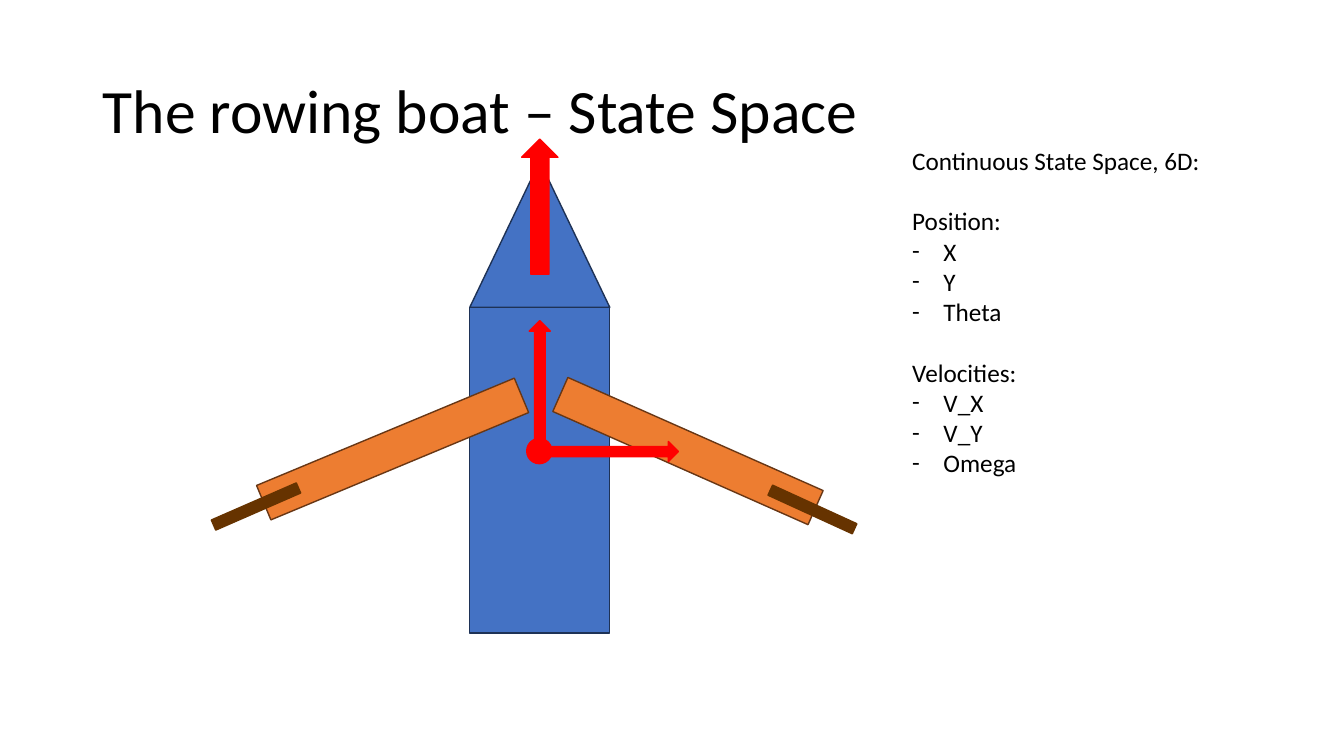
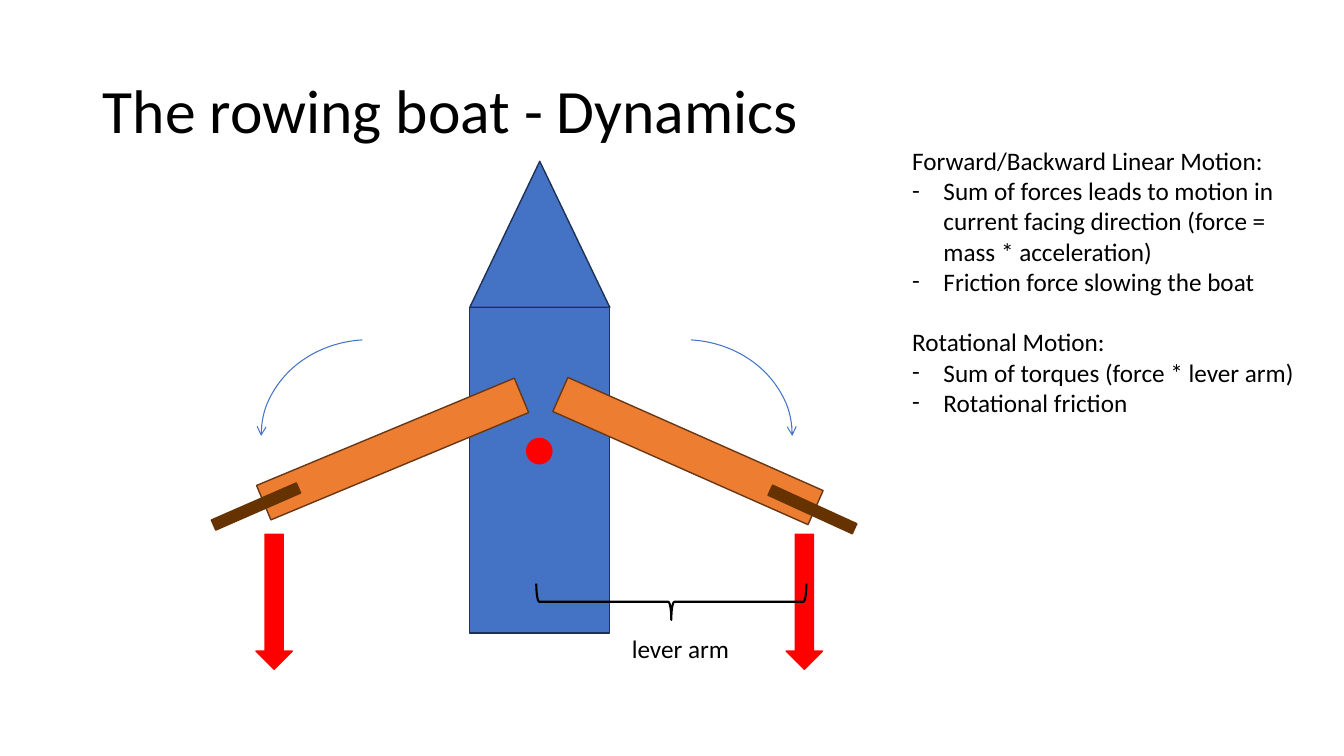
from dataclasses import dataclass

from lxml.etree import SubElement
from pptx import Presentation
from pptx.dml.color import RGBColor
from pptx.enum.shapes import MSO_SHAPE as Form
from pptx.enum.text import MSO_ANCHOR as Anchor, MSO_AUTO_SIZE as AutoSize, PP_ALIGN as Align
from pptx.oxml.ns import qn
from pptx.util import Inches, Pt

# Grid: 80 columns by 45 rows of square cells
COLUMNS, ROWS = 80, 45
CELL = Inches(7.5) / ROWS

# Colours
BLACK = RGBColor(0x00, 0x00, 0x00)
BLUE = RGBColor(0x44, 0x72, 0xC4)
NAVY = RGBColor(0x1E, 0x32, 0x56)
ORANGE = RGBColor(0xED, 0x7D, 0x31)
RUST = RGBColor(0x68, 0x37, 0x15)
BROWN = RGBColor(0x66, 0x33, 0x00)
RED = RGBColor(0xFF, 0x00, 0x00)

# Text formats
FONT = "Calibri"
TITLE_FONT = {"name": FONT, "size": Pt(44)}
NOTE_FONT = {"name": FONT, "size": Pt(18)}
TITLE_PARAGRAPH = {"alignment": Align.LEFT, "line_spacing": 0.9}
NOTE_PARAGRAPH = {"alignment": Align.LEFT, "space_before": Pt(0), "space_after": Pt(0)}
SECTION_GAP = Pt(21.6)
HANGING = Inches(0.31)


@dataclass(frozen=True)
class Box:
    """A place on the grid, in columns and rows."""
    column: float
    row: float
    width: float
    height: float

    def emu(self) -> tuple[int, ...]:
        return tuple(round(n * CELL) for n in (self.column, self.row, self.width, self.height))


@dataclass(frozen=True)
class Look:
    line: RGBColor
    fill: RGBColor | None = None
    weight: float = 1


@dataclass(frozen=True)
class Figure:
    form: Form
    box: Box
    look: Look
    angle: float = 0
    adjust: tuple[float, ...] = ()
    arrow_end: str = ""


@dataclass(frozen=True)
class Section:
    heading: str
    points: tuple[str, ...] = ()


@dataclass(frozen=True)
class Topic:
    title: str
    sections: tuple[Section, ...]
    figures: tuple[Figure, ...]
    lever_label: str = ""


HULL = Look(NAVY, BLUE)
ARM = Look(RUST, ORANGE)
BLADE = Look(BROWN, BROWN)
VECTOR = Look(RED, RED)
SWING = Look(BLUE, weight=0.75)
LEVER = Look(BLACK, weight=1.5)

TITLE_BOX = Box(5.52, 2.4, 69, 8.7)
NOTES_BOX = Box(53.7, 8.34, 25.56, 29.7)
LEVER_LABEL_BOX = Box(37.02, 37.38, 7.38, 2.4)

# The boat, shared by both slides
BOAT = (
    Figure(Form.ISOSCELES_TRIANGLE, Box(27.96, 9.6, 8.34, 8.7), HULL),
    Figure(Form.RECTANGLE, Box(27.96, 18.3, 8.34, 19.38), HULL),
    Figure(Form.RECTANGLE, Box(15.06, 25.62, 16.62, 2.22), ARM, 337.4),
    Figure(Form.RECTANGLE, Box(32.64, 25.74, 16.62, 2.22), ARM, 23.9),
    Figure(Form.RECTANGLE, Box(12.48, 29.82, 5.52, 0.66), BLADE, 336.4),
    Figure(Form.RECTANGLE, Box(45.6, 30, 5.52, 0.66), BLADE, 24.6),
    Figure(Form.OVAL, Box(31.35, 26.1, 1.5, 1.5), VECTOR),
)

# Heading and body axes
STATE_VECTORS = (
    Figure(Form.DOWN_ARROW, Box(31.05, 8.28, 2.16, 8.04), VECTOR, 180),
    Figure(Form.DOWN_ARROW, Box(35.76, 22.86, 1.2, 8.04), VECTOR, 270),
    Figure(Form.DOWN_ARROW, Box(31.5, 19.08, 1.26, 8.04), VECTOR, 180),
)

# Oar forces, lever arm and mirrored swings
DYNAMICS = (
    *(Figure(Form.DOWN_ARROW, Box(column, 31.8, 2.16, 8.04), VECTOR) for column in (15.24, 46.8)),
    Figure(Form.LEFT_BRACE, Box(38.88, 27.78, 2.16, 16.08), LEVER, 270),
    Figure(Form.ARC, Box(15.54, 20.22, 12.9, 11.46), SWING, 0, (108, 159.45), "headEnd"),
    Figure(Form.ARC, Box(34.26, 20.22, 12.9, 11.46), SWING, 0, (164.55, 0), "tailEnd"),
)

TOPICS = (
    Topic(
        "The rowing boat – State Space",
        (
            Section("Continuous State Space, 6D:"),
            Section("Position:", ("X", "Y", "Theta")),
            Section("Velocities:", ("V_X", "V_Y", "Omega")),
        ),
        BOAT + STATE_VECTORS,
    ),
    Topic(
        "The rowing boat - Dynamics",
        (
            Section("Forward/Backward Linear Motion:", (
                "Sum of forces leads to motion in current facing direction "
                "(force = mass * acceleration)",
                "Friction force slowing the boat",
            )),
            Section("Rotational Motion:", (
                "Sum of torques (force * lever arm)",
                "Rotational friction",
            )),
        ),
        BOAT + DYNAMICS,
        "lever arm",
    ),
)


def apply(target, formats: dict) -> None:
    for name, value in formats.items():
        setattr(target, name, value)


def place(target, box: Box) -> None:
    apply(target, dict(zip(("left", "top", "width", "height"), box.emu())))


def write(paragraph, text: str, paragraph_formats: dict, font_formats: dict) -> None:
    apply(paragraph, paragraph_formats)
    run = paragraph.add_run()
    run.text = text
    apply(run.font, font_formats)
    run.font.color.rgb = BLACK


def set_bullet(paragraph, dashed: bool) -> None:
    properties = paragraph._p.get_or_add_pPr()
    indent = HANGING if dashed else 0
    properties.set("marL", str(indent))
    properties.set("indent", str(-indent))
    if dashed:
        SubElement(properties, qn("a:buFont"), typeface=FONT)
        SubElement(properties, qn("a:buChar"), char="-")
    else:
        SubElement(properties, qn("a:buNone"))


def write_notes(frame, sections: tuple[Section, ...]) -> None:
    apply(frame, {"auto_size": AutoSize.NONE, "word_wrap": True, "vertical_anchor": Anchor.TOP})
    for number, section in enumerate(sections):
        for row, text in enumerate((section.heading, *section.points)):
            first = number == row == 0
            paragraph = frame.paragraphs[0] if first else frame.add_paragraph()
            gap = SECTION_GAP if number and not row else Pt(0)
            write(paragraph, text, NOTE_PARAGRAPH | {"space_before": gap}, NOTE_FONT)
            set_bullet(paragraph, dashed=row > 0)


def draw_figure(slide, figure: Figure) -> None:
    shape = slide.shapes.add_shape(figure.form, *figure.box.emu())
    shape.shadow.inherit = False
    shape.rotation = figure.angle
    for index, value in enumerate(figure.adjust):
        shape.adjustments[index] = value
    if figure.look.fill is None:
        shape.fill.background()
    else:
        shape.fill.solid()
        shape.fill.fore_color.rgb = figure.look.fill
    shape.line.color.rgb = figure.look.line
    shape.line.width = Pt(figure.look.weight)
    if figure.arrow_end:
        outline = shape.line._get_or_add_ln()
        SubElement(outline, qn(f"a:{figure.arrow_end}"), type="arrow")


def build_slide(deck, layout, topic: Topic) -> None:
    slide = deck.slides.add_slide(layout)
    heading, notes = slide.placeholders[0], slide.placeholders[1]
    apply(heading.text_frame, {"auto_size": AutoSize.NONE, "vertical_anchor": Anchor.MIDDLE})
    write(heading.text_frame.paragraphs[0], topic.title, TITLE_PARAGRAPH, TITLE_FONT)
    write_notes(notes.text_frame, topic.sections)
    for figure in topic.figures:
        draw_figure(slide, figure)
    if topic.lever_label:
        label = slide.shapes.add_textbox(*LEVER_LABEL_BOX.emu()).text_frame
        label.word_wrap = True
        write(label.paragraphs[0], topic.lever_label, NOTE_PARAGRAPH, NOTE_FONT)


def main() -> None:
    deck = Presentation()
    deck.slide_width = round(COLUMNS * CELL)
    deck.slide_height = round(ROWS * CELL)
    # Title and body places are shared through the layout
    layout = deck.slide_layouts[1]
    for holder, box in zip(layout.placeholders, (TITLE_BOX, NOTES_BOX)):
        place(holder, box)
    for topic in TOPICS:
        build_slide(deck, layout, topic)
    deck.save("out.pptx")


if __name__ == "__main__":
    main()
